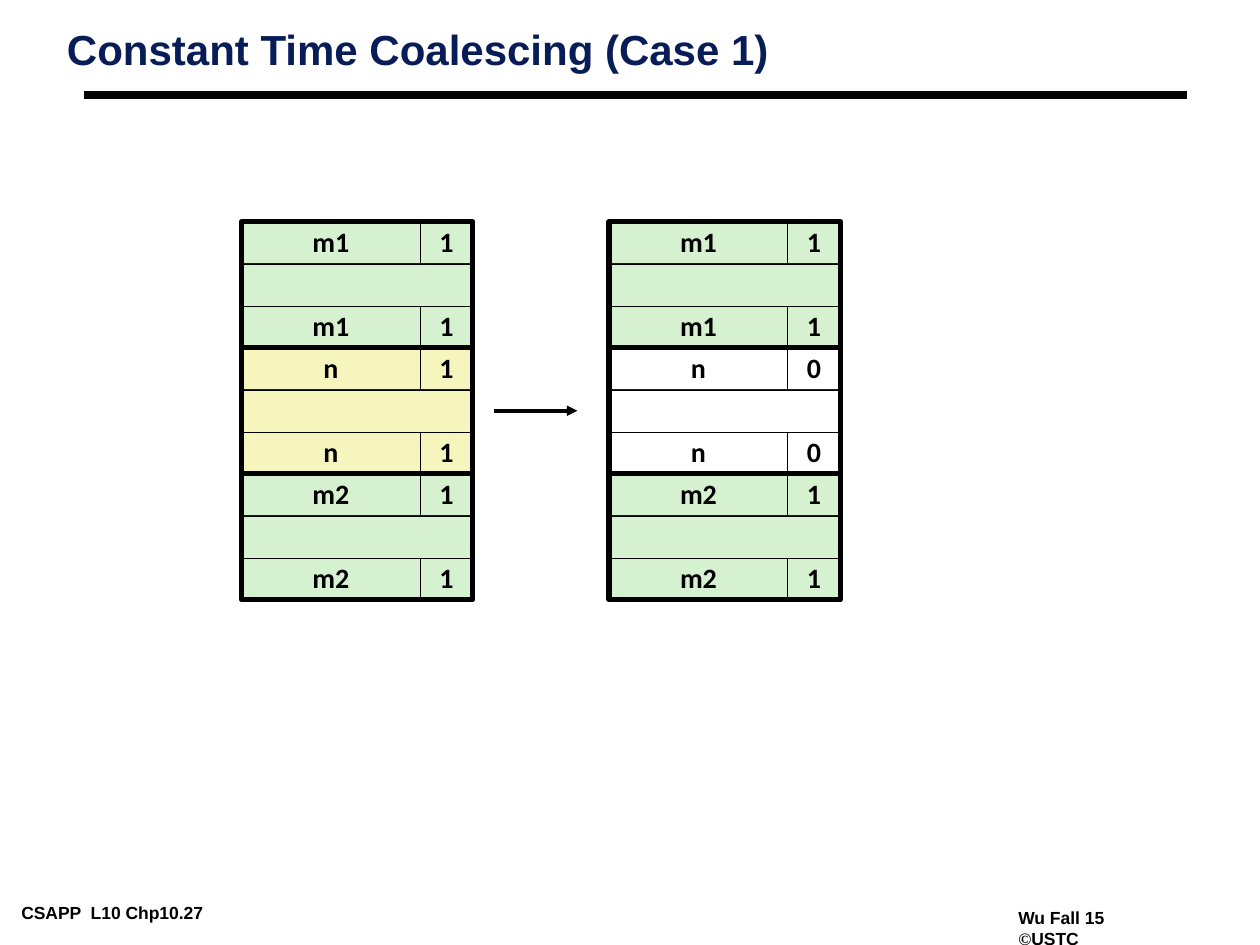
import pptx
import pptx.util
import pptx.dml.color
import pptx.enum.shapes
import pptx.enum.text
import pptx.oxml.ns
import pptx.oxml.xmlchemy
from pptx.util import Cm, Pt

COLORS = {"ink": "000000", "title": "081D58", "allocated": "D5F1CF",
          "target": "F6F5BD", "free": "FFFFFF"}
SIZE_WIDTH, FLAG_WIDTH = 3.6, 1.06
BLOCK_WIDTH = SIZE_WIDTH + FLAG_WIDTH
BLOCK_HEIGHT = 2.54
ROW_HEIGHT = BLOCK_HEIGHT / 3
HEAP_TOP = 4.47


class SlideBuilder:
    def __init__(self, page):
        self.page = page

    def color(self, name):
        return pptx.dml.color.RGBColor.from_string(COLORS[name])

    def style(self, font, name, size, color="ink"):
        font.name, font.size, font.bold = name, Pt(size), True
        font.color.rgb = self.color(color)

    def margins(self, frame, side, end):
        frame.margin_left = frame.margin_right = Cm(side)
        frame.margin_top = frame.margin_bottom = Cm(end)

    def title(self, text):
        box = self.page.shapes.title
        box.left, box.top, box.width, box.height = Cm(1.17), Cm(0.53), Cm(23.06), Cm(1.6)
        frame = box.text_frame
        frame.text = text
        frame.vertical_anchor = pptx.enum.text.MSO_ANCHOR.TOP
        frame.auto_size = pptx.enum.text.MSO_AUTO_SIZE.NONE
        self.margins(frame, 0.18, 0.08)
        para = frame.paragraphs[0]
        para.alignment = pptx.enum.text.PP_ALIGN.LEFT
        para.line_spacing = 0.87
        self.style(para.font, "Arial", 24, "title")

    def footer(self, left, top, width, spans):
        box = self.page.shapes.add_textbox(Cm(left), Cm(top), Cm(width), Cm(0.56))
        frame = box.text_frame
        frame.word_wrap = False
        frame.auto_size = pptx.enum.text.MSO_AUTO_SIZE.SHAPE_TO_FIT_TEXT
        self.margins(frame, 0.18, 0.08)
        for text, font_name in spans:
            span = frame.paragraphs[0].add_run()
            span.text = text
            self.style(span.font, font_name, 10)

    def line(self, start, end, weight, arrow=False):
        line = self.page.shapes.add_connector(
            pptx.enum.shapes.MSO_CONNECTOR.STRAIGHT, *map(Cm, start + end))
        line.line.color.rgb = self.color("ink")
        line.line.width = Pt(weight)
        properties = line._element.spPr
        if arrow:
            head = pptx.oxml.xmlchemy.OxmlElement("a:tailEnd")
            head.set("type", "triangle")
            properties.find(pptx.oxml.ns.qn("a:ln")).append(head)
        properties.append(pptx.oxml.xmlchemy.OxmlElement("a:effectLst"))

    def rectangle(self, left, top, width, height, weight, fill=None, text=""):
        box = self.page.shapes.add_shape(pptx.enum.shapes.MSO_SHAPE.RECTANGLE,
                                         Cm(left), Cm(top), Cm(width), Cm(height))
        box.shadow.inherit = False
        box.line.color.rgb = self.color("ink")
        box.line.width = Pt(weight)
        if fill:
            box.fill.solid()
            box.fill.fore_color.rgb = self.color(fill)
        else:
            box.fill.background()
        if text:
            frame = box.text_frame
            frame.text = text
            frame.word_wrap = False
            frame.vertical_anchor = pptx.enum.text.MSO_ANCHOR.MIDDLE
            self.margins(frame, 0.25, 0.13)
            para = frame.paragraphs[0]
            para.alignment = pptx.enum.text.PP_ALIGN.CENTER
            para.line_spacing = 0.98
            self.style(para.font, "Calibri", 16)

    def block(self, left, top, size, flag, fill):
        """Header, payload and footer rows inside a heavy frame."""
        footer_top = top + 2 * ROW_HEIGHT
        for row_top in (top, footer_top):
            self.rectangle(left, row_top, SIZE_WIDTH, ROW_HEIGHT, 0.25, fill, size)
            self.rectangle(left + SIZE_WIDTH, row_top, FLAG_WIDTH, ROW_HEIGHT, 0.25, fill, flag)
        self.rectangle(left, top + ROW_HEIGHT, BLOCK_WIDTH, ROW_HEIGHT, 0.25, fill)
        self.rectangle(left, top, BLOCK_WIDTH, BLOCK_HEIGHT, 3)


def main():
    deck = pptx.Presentation()
    deck.slide_width, deck.slide_height = Cm(25.4), Cm(19.05)
    builder = SlideBuilder(deck.slides.add_slide(deck.slide_layouts[5]))

    # Title, rule and footers
    builder.title("Constant Time Coalescing (Case 1)")
    builder.line((1.7, 1.91), (23.92, 1.91), 4.5)
    builder.footer(0.25, 18.11, 5.33, [("CSAPP  L10 Chp10.27", "Arial")])
    builder.footer(20.35, 18.21, 3.5, [("Wu Fall 15  ", "Arial"),
                                       ("©", "Times New Roman"), ("USTC", "Arial")])

    # Heap before and after freeing the middle block
    for left, flag, fill in ((4.87, "1", "target"), (12.28, "0", "free")):
        blocks = (("m1", "1", "allocated"), ("n", flag, fill), ("m2", "1", "allocated"))
        for index, block in enumerate(blocks):
            builder.block(left, HEAP_TOP + index * BLOCK_HEIGHT, *block)

    # Transition arrow
    builder.line((9.95, 8.28), (11.64, 8.28), 2, arrow=True)

    deck.save("out.pptx")


if __name__ == "__main__":
    main()
